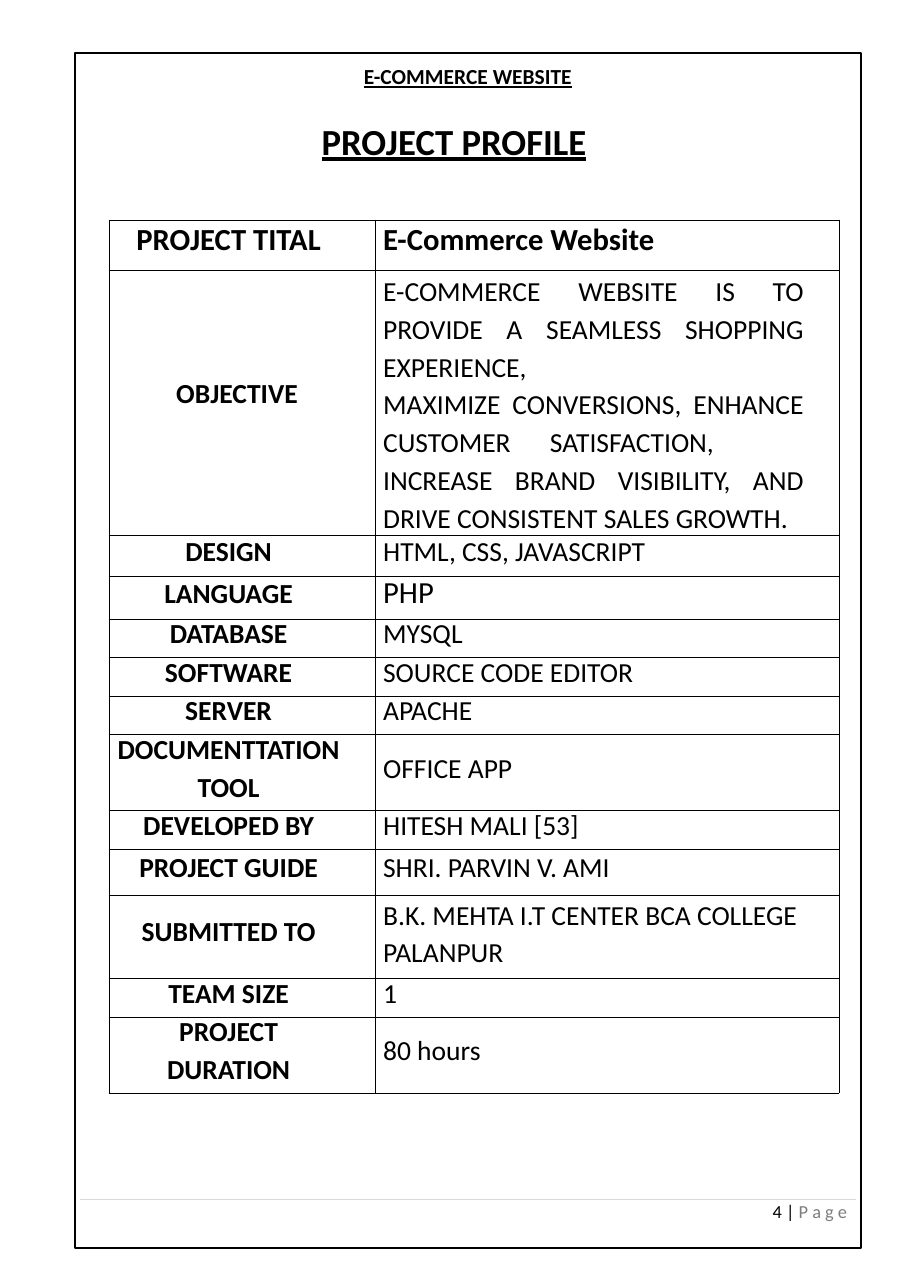
from dataclasses import dataclass

from lxml import etree
from pptx import Presentation
from pptx.dml.color import RGBColor
from pptx.enum import shapes, text
from pptx.oxml import ns
from pptx.util import Pt


@dataclass(frozen=True)
class Theme:
    font: str = "Calibri"
    ink: str = "000000"
    muted: str = "7E7E7E"
    rule: str = "D9D9D9"
    title: float = 24
    large: float = 20
    body: float = 18
    header: float = 14
    footer: float = 12
    line_ratio: float = 7 / 6
    line_gap: float = 3.8


@dataclass(frozen=True)
class Entry:
    """Text of one table cell: its paragraphs, offset from the top and layout."""
    lines: tuple
    top: float = 0
    size: float = 18
    right: float = 0
    line: float = None
    align: text.PP_ALIGN = text.PP_ALIGN.LEFT
    tab: float = None


THEME = Theme()
LABEL_RIGHT = 18
COLUMNS = (174, 303)


def label(*lines, top=0, size=THEME.body, right=LABEL_RIGHT):
    return Entry(lines, top, size, right, align=text.PP_ALIGN.CENTER)


def value(*lines, **layout):
    return Entry(lines, **layout)


OBJECTIVE = value(
    "E-COMMERCE WEBSITE IS TO PROVIDE A SEAMLESS SHOPPING EXPERIENCE,",
    "MAXIMIZE CONVERSIONS, ENHANCE CUSTOMER\tSATISFACTION, INCREASE BRAND "
    "VISIBILITY, AND DRIVE CONSISTENT SALES GROWTH.",
    right=23, line=1.13, align=text.PP_ALIGN.JUSTIFY, tab=109)

# Row height, label, value
PROFILE = (
    (33, label("PROJECT TITAL", top=2, size=THEME.large),
     value("E-Commerce Website", top=2, size=THEME.large)),
    (172.8, label("OBJECTIVE", top=71, right=7), OBJECTIVE),
    (27, label("DESIGN", top=1), value("HTML, CSS, JAVASCRIPT", top=1)),
    (28, label("LANGUAGE", top=1.5), value("PHP", size=THEME.large)),
    (25.2, label("DATABASE"), value("MYSQL")),
    (25.2, label("SOFTWARE"), value("SOURCE CODE EDITOR")),
    (25.2, label("SERVER"), value("APACHE")),
    (49.7, label("DOCUMENTTATION", "TOOL"), value("OFFICE APP", top=12.5)),
    (25.2, label("DEVELOPED BY"), value("HITESH MALI [53]")),
    (29.8, label("PROJECT GUIDE", top=2.5), value("SHRI. PARVIN V. AMI", top=2.5)),
    (54.5, label("SUBMITTED TO", top=14.5),
     value("B.K. MEHTA I.T CENTER BCA COLLEGE PALANPUR", line=Pt(24.6))),
    (25.2, label("TEAM SIZE"), value("1")),
    (49.7, label("PROJECT", "DURATION"), value("80 hours", top=12.5)),
)


def add_run(p, words, size, color=THEME.ink, bold=False, underline=False):
    r = p.add_run()
    r.text = words
    f = r.font
    f.name, f.size, f.bold, f.underline = THEME.font, Pt(size), bold, underline
    f.color.rgb = RGBColor.from_string(color)


def add_text_box(s, left, top, width, height):
    """Add a box without insets and return its first paragraph."""
    tf = s.shapes.add_textbox(Pt(left), Pt(top), Pt(width), Pt(height)).text_frame
    tf.word_wrap = True
    tf.margin_left = tf.margin_top = tf.margin_right = tf.margin_bottom = 0
    return tf.paragraphs[0]


def add_heading(s, words, left, top, width, height, size):
    p = add_text_box(s, left, top, width, height)
    add_run(p, words, size, bold=True, underline=True)


def add_page_frame(s):
    sp = s.shapes.add_shape(shapes.MSO_SHAPE.RECTANGLE,
                            Pt(49.3), Pt(34.5), Pt(513.7), Pt(781.3))
    sp.shadow.inherit = False
    sp.fill.background()
    sp.line.color.rgb = RGBColor.from_string(THEME.ink)
    sp.line.width = Pt(1.4)


def add_footer(s):
    y = 783.6
    rule = s.shapes.add_connector(shapes.MSO_CONNECTOR.STRAIGHT,
                                  Pt(52.6), Pt(y), Pt(559.4), Pt(y))
    rule.line.color.rgb = RGBColor.from_string(THEME.rule)
    rule.line.width = Pt(0.5)
    etree.SubElement(rule._element.spPr, ns.qn("a:effectLst"))

    p = add_text_box(s, 505, 786.2, 53, 14)
    p.line_spacing = Pt(12.4)
    add_run(p, "4 | ", THEME.footer)
    add_run(p, "P a g e", THEME.footer, THEME.muted)


def add_borders(cell):
    tc_pr = cell._tc.get_or_add_tcPr()
    for side in ("lnL", "lnR", "lnT", "lnB"):
        ln = etree.SubElement(tc_pr, ns.qn(f"a:{side}"), w=str(Pt(0.5)))
        fill = etree.SubElement(ln, ns.qn("a:solidFill"))
        etree.SubElement(fill, ns.qn("a:srgbClr"), val=THEME.ink)


def add_tab_stop(p, position):
    tabs = etree.SubElement(p._p.get_or_add_pPr(), ns.qn("a:tabLst"))
    etree.SubElement(tabs, ns.qn("a:tab"), pos=str(Pt(position)), algn="l")


def fill_cell(cell, entry, bold):
    add_borders(cell)
    cell.fill.background()
    centred = entry.align == text.PP_ALIGN.CENTER
    cell.margin_left = Pt(0 if centred else 5)
    cell.margin_right = Pt(entry.right)
    cell.margin_top, cell.margin_bottom = Pt(entry.top), 0
    cell.vertical_anchor = text.MSO_ANCHOR.TOP
    tf = cell.text_frame
    for i, words in enumerate(entry.lines):
        p = tf.add_paragraph() if i else tf.paragraphs[0]
        if entry.tab:
            add_tab_stop(p, entry.tab)
        p.alignment = entry.align
        p.line_spacing = entry.line or Pt(entry.size * THEME.line_ratio)
        if i and not entry.line:
            p.space_before = Pt(THEME.line_gap)
        add_run(p, words, entry.size, bold=bold)


def add_profile_table(s):
    height = sum(row[0] for row in PROFILE)
    table = s.shapes.add_table(len(PROFILE), len(COLUMNS), Pt(71.4), Pt(143.8),
                               Pt(sum(COLUMNS)), Pt(height)).table
    table.first_row = table.horz_banding = False
    for column, width in zip(table.columns, COLUMNS):
        column.width = Pt(width)
    for i, (row_height, name, detail) in enumerate(PROFILE):
        table.rows[i].height = Pt(row_height)
        fill_cell(table.cell(i, 0), name, bold=True)
        fill_cell(table.cell(i, 1), detail, bold=i == 0)


def main():
    prs = Presentation()
    prs.slide_width, prs.slide_height = Pt(594.72), Pt(841.68)
    s = prs.slides.add_slide(prs.slide_layouts[6])
    add_footer(s)
    add_page_frame(s)
    add_heading(s, "E-COMMERCE WEBSITE", 237.8, 41.4, 140, 18, THEME.header)
    add_heading(s, "PROJECT PROFILE", 210.2, 77.4, 190, 48, THEME.title)
    add_profile_table(s)
    prs.save("out.pptx")


if __name__ == "__main__":
    main()
